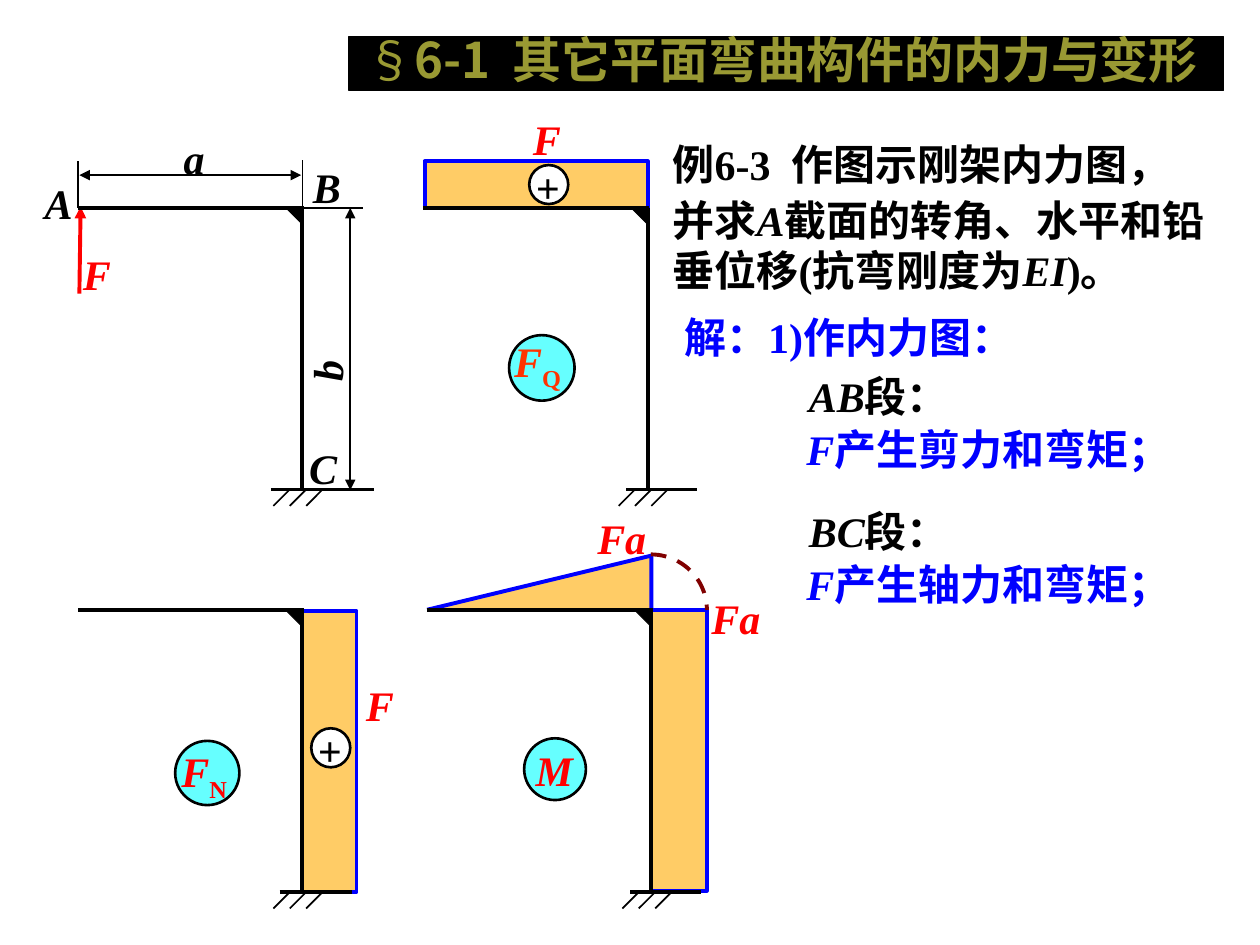
from typing import NamedTuple

from lxml import etree
from pptx import Presentation
from pptx.dml.color import RGBColor
from pptx.enum import dml, shapes, text
from pptx.oxml import ns
from pptx.util import Inches, Pt

BLACK = RGBColor(0, 0, 0)
WHITE = RGBColor(0xFF, 0xFF, 0xFF)
RED = RGBColor(0xFF, 0, 0)
ORANGE = RGBColor(0xFF, 0x33, 0)
BLUE = RGBColor(0, 0, 0xFF)
SAND = RGBColor(0xFF, 0xCC, 0x66)
CYAN = RGBColor(0x66, 0xFF, 0xFF)
MAROON = RGBColor(0x80, 0, 0)
OLIVE = RGBColor(0x99, 0x99, 0x33)
SERIF, SANS = "Times New Roman", "Noto Sans CJK SC"
LEFT, MID = text.PP_ALIGN.LEFT, text.PP_ALIGN.CENTER
SPAN, RISE, HATCH = 1.78, 2.235, 0.13


class Frame(NamedTuple):
    left: float
    top: float
    start: float  # ground line
    end: float


class Label(NamedTuple):
    words: str
    x: float
    y: float
    w: float
    h: float
    color: RGBColor = BLACK
    align: text.PP_ALIGN = MID
    turn: int = 0


class Badge(NamedTuple):
    x: float
    y: float
    size: float
    fill: RGBColor
    label: Label


class Area(NamedTuple):
    points: list[tuple[float, float]]
    fill: RGBColor = SAND
    line: RGBColor = BLUE
    width: float = 2.25


FRAMES = [
    Frame(0.62, 1.65, 2.15, 2.97),
    Frame(3.36, 1.65, 4.97, 5.53),
    Frame(0.62, 4.845, 2.22, 2.79),
    Frame(3.39, 4.845, 5, 5.56),
]
AREAS = [
    Area([(2.4, 7.08), (2.83, 7.08), (2.83, 4.85), (2.4, 4.85)]),
    Area([(3.37, 1.65), (3.37, 1.28), (5.14, 1.28), (5.14, 1.65)]),
    Area([(3.39, 4.84), (5.17, 4.41), (5.17, 4.84)]),
    Area([(5.17, 7.07), (5.61, 7.07), (5.61, 4.84), (5.17, 4.84)]),
]
LABELS = [
    Label("*A*", 0.22, 1.41, 0.49, 0.51),
    Label("*B*", 2.26, 1.28, 0.67, 0.51),
    Label("*C*", 2.23, 3.51, 0.67, 0.51),
    Label("*a*", 1.27, 1.05, 0.54, 0.53),
    Label("*b*", 2.38, 2.68, 0.55, 0.53, turn=-90),
    Label("*F*", 0.47, 1.97, 0.6, 0.56, RED),
    Label("*F*", 4.01, 0.9, 0.66, 0.45, RED),
    Label("*F*", 2.71, 5.39, 0.61, 0.65, RED),
    Label("*Fa*", 4.52, 4.07, 0.83, 0.56, RED),
    Label("*Fa*", 5.47, 4.7, 0.74, 0.49, RED),
    Label("解：1)作内力图：", 5.43, 2.47, 2.99, 0.4, BLUE, LEFT),
    Label("*AB*段：", 6.42, 2.94, 2.26, 0.4, BLACK, LEFT),
    Label("*F*产生剪力和弯矩；", 6.4, 3.36, 3.06, 0.4, BLUE, LEFT),
    Label("*BC*段：", 6.42, 4.01, 2.26, 0.4, BLACK, LEFT),
    Label("*F*产生轴力和弯矩；", 6.4, 4.43, 3.22, 0.4, BLUE, LEFT),
]
BADGES = [
    Badge(4.04, 2.66, 0.52, CYAN, Label("*F*_Q", 4.08, 2.66, 0.89, 0.56, ORANGE, LEFT)),
    Badge(1.39, 5.88, 0.51, CYAN, Label("*F*_N", 1.44, 5.92, 0.86, 0.55, RED, LEFT)),
    Badge(4.16, 5.86, 0.49, CYAN, Label("*M*", 4.25, 5.91, 0.82, 0.53, RED, LEFT)),
    Badge(4.2, 1.31, 0.31, WHITE, Label("*+*", 4.25, 1.28, 0.58, 0.51, BLACK, LEFT)),
    Badge(2.47, 5.78, 0.31, WHITE, Label("*+*", 2.52, 5.75, 0.59, 0.51, BLACK, LEFT)),
]

deck = Presentation()
deck.slide_width, deck.slide_height = Inches(10), Inches(7.5)
slide = deck.slides.add_slide(deck.slide_layouts[5])
page = slide.shapes


def write(para, words: str, size=24, color=BLACK, font=SERIF, bold=True, align=LEFT) -> None:
    """Add runs: *stars* mark italics, a leading _ marks a subscript."""
    para.alignment = align
    for i, part in enumerate(words.split("*")):
        if not part:
            continue
        run = para.add_run()
        run.text = part.removeprefix("_")
        run.font.size, run.font.name = Pt(size), font
        run.font.bold, run.font.italic = bold, i % 2 == 1
        run.font.color.rgb = color
        props = run._r.get_or_add_rPr()
        etree.SubElement(props, ns.qn("a:ea"), typeface=SANS)
        if part.startswith("_"):
            props.set("baseline", "-25000")


def box(x: float, y: float, w: float, h: float, pad=(0.0, 0.0)):
    shape = page.add_textbox(Inches(x), Inches(y), Inches(w), Inches(h))
    body = shape.text_frame
    body.word_wrap = True
    body.margin_left = body.margin_right = Inches(pad[0])
    body.margin_top = body.margin_bottom = Inches(pad[1])
    return shape


def label(item: Label) -> None:
    shape = box(item.x, item.y, item.w, item.h)
    shape.rotation = item.turn
    write(shape.text_frame.paragraphs[0], item.words, color=item.color, align=item.align)


def paint(shape, fill: RGBColor | None, line: RGBColor, width: float) -> None:
    shape.shadow.inherit = False
    if fill is None:
        shape.fill.background()
    else:
        shape.fill.solid()
        shape.fill.fore_color.rgb = fill
    shape.line.color.rgb, shape.line.width = line, Pt(width)


def solid(kind, x: float, y: float, w: float, h: float, fill, line=BLACK, width=1.5):
    shape = page.add_shape(kind, Inches(x), Inches(y), Inches(w), Inches(h))
    paint(shape, fill, line, width)
    return shape


def area(item: Area) -> None:
    points = [(Inches(x), Inches(y)) for x, y in item.points]
    pen = page.build_freeform(*points[0])
    pen.add_line_segments(points[1:], close=False)
    paint(pen.convert_to_shape(), item.fill, item.line, item.width)


def rule(x1: float, y1: float, x2: float, y2: float, width=1.0, color=BLACK, ends=()) -> None:
    """Draw a line; ends may hold headEnd and tailEnd."""
    line = page.add_connector(
        shapes.MSO_CONNECTOR.STRAIGHT, Inches(x1), Inches(y1), Inches(x2), Inches(y2))
    line.line.color.rgb, line.line.width = color, Pt(width)
    for end in ends:
        etree.SubElement(line.line._get_or_add_ln(), ns.qn("a:" + end), type="triangle")
    etree.SubElement(line._element.spPr, ns.qn("a:effectLst"))


def frame(item: Frame) -> None:
    post, base = item.left + SPAN, item.top + RISE
    rule(item.left, item.top, post + 0.01, item.top, 2.25)
    rule(post, base, post, item.top, 2.25)
    rule(item.start, base, item.end, base, 2.25)
    for i in range(3):
        x = post - 0.1 + i * HATCH
        rule(x, base, x - HATCH, base + HATCH)
    corner = [(post, item.top), (post - 0.13, item.top), (post, item.top + 0.13)]
    area(Area(corner, BLACK, BLACK, 0.5))


def badge(item: Badge) -> None:
    solid(shapes.MSO_SHAPE.OVAL, item.x, item.y, item.size, item.size, item.fill)
    label(item.label)


def loads() -> None:
    """Draw the force arrow and the dimension lines of the first frame."""
    both = ("headEnd", "tailEnd")
    rule(0.63, 2.33, 0.64, 1.64, 2.25, RED, ("tailEnd",))
    rule(0.62, 1.65, 0.62, 1.28)
    rule(2.4, 1.65, 2.4, 1.27)
    rule(2.4, 1.65, 2.88, 1.65)
    rule(2.78, 1.65, 2.78, 3.89, ends=both)
    rule(0.63, 1.39, 2.39, 1.39, ends=both)


def task() -> None:
    body = box(5.24, 1.05, 4.53, 1.34, (0.1, 0.05)).text_frame
    body.vertical_anchor = text.MSO_ANCHOR.MIDDLE
    write(body.paragraphs[0], "例6-3  作图示刚架内力图，")
    para = body.add_paragraph()
    para.space_before = Pt(3)
    write(para, "并求*A*截面的转角、水平和铅垂位移(抗弯刚度为*EI*)。")


def head() -> None:
    solid(shapes.MSO_SHAPE.RECTANGLE, 2.77, 0.29, 6.94, 0.43, BLACK, width=0.75)
    title = page.title
    title.left, title.top = Inches(2.58), Inches(0.12)
    title.width, title.height = Inches(7.25), Inches(0.7)
    body = title.text_frame
    body.auto_size = text.MSO_AUTO_SIZE.NONE
    body.vertical_anchor = text.MSO_ANCHOR.MIDDLE
    look = dict(size=28, color=OLIVE, font=SANS, align=MID)
    write(body.paragraphs[0], "§", bold=False, **look)
    write(body.paragraphs[0], "6-1  其它平面弯曲构件的内力与变形", **look)
    page._spTree.append(title._element)  # in front of its bar


def main() -> None:
    for item in AREAS:
        area(item)
    arc = solid(shapes.MSO_SHAPE.ARC, 4.72, 4.4, 0.89, 0.88, None, MAROON, 2.25)
    arc.line.dash_style = dml.MSO_LINE.DASH
    loads()
    for item in FRAMES:
        frame(item)
    for item in BADGES:
        badge(item)
    for item in LABELS:
        label(item)
    task()
    head()
    deck.save("out.pptx")


if __name__ == "__main__":
    main()
